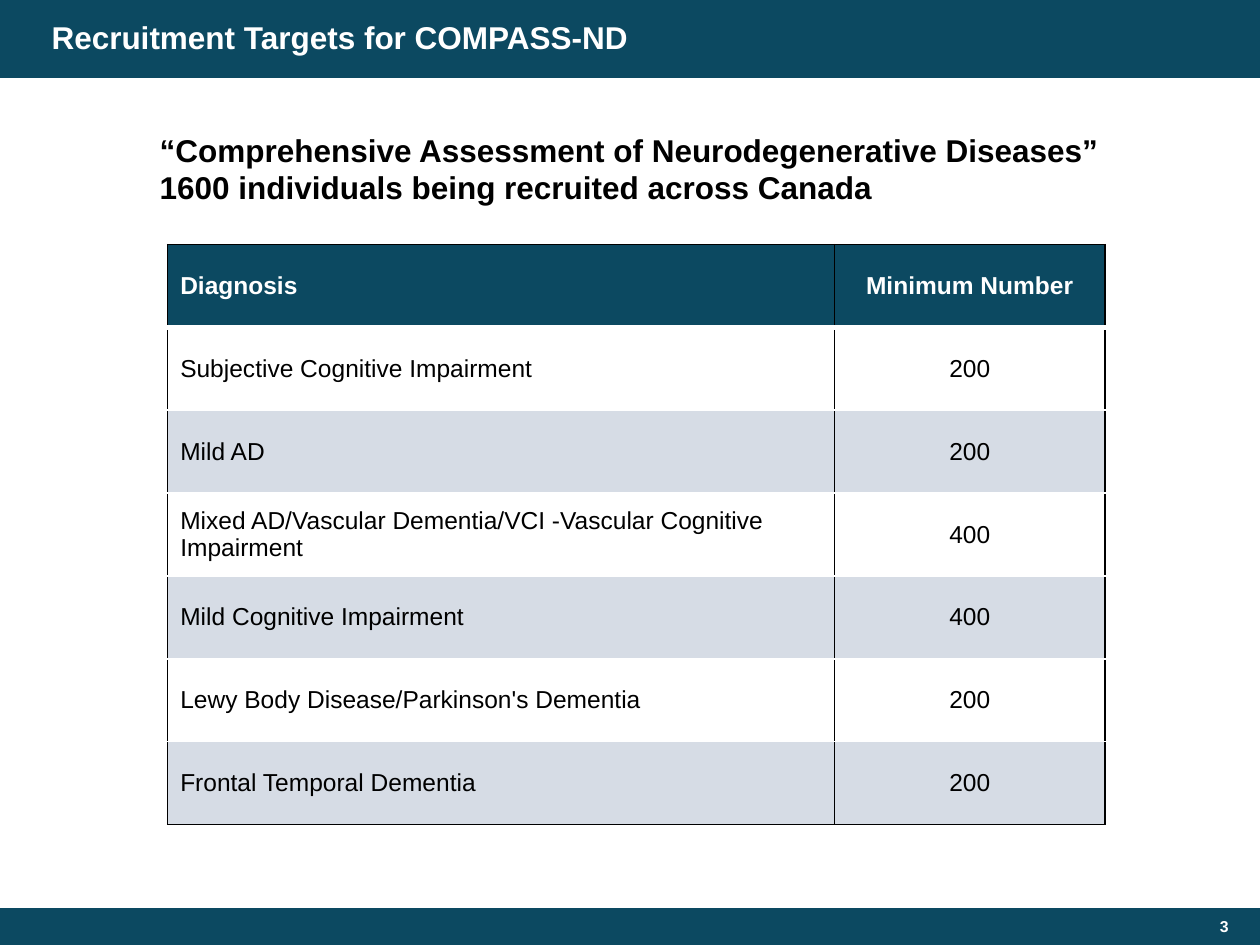
from dataclasses import dataclass
from lxml.etree import SubElement
from pptx import Presentation
from pptx.dml.color import RGBColor as Color
from pptx.enum.shapes import MSO_SHAPE as Shape
from pptx.enum.text import MSO_ANCHOR as Anchor, PP_ALIGN as Align
from pptx.oxml.ns import qn
from pptx.util import Cm, Pt

TITLE = "Recruitment Targets for COMPASS-ND"
INTRO = [
    "“Comprehensive Assessment of Neurodegenerative Diseases”",
    "1600 individuals being recruited across Canada",
]
PAGE_NUMBER = "3"
TARGETS = [
    ("Diagnosis", "Minimum Number"),
    ("Subjective Cognitive Impairment", "200"),
    ("Mild AD", "200"),
    ("Mixed AD/Vascular Dementia/VCI -Vascular Cognitive Impairment", "400"),
    ("Mild Cognitive Impairment", "400"),
    ("Lewy Body Disease/Parkinson's Dementia", "200"),
    ("Frontal Temporal Dementia", "200"),
]


@dataclass(frozen=True)
class Theme:
    font: str = "Arial"
    navy: str = "0C4961"
    band: str = "D6DCE5"
    white: str = "FFFFFF"
    black: str = "000000"
    heading_size: int = 18
    table_size: int = 14
    page_size: int = 9


THEME = Theme()
WIDTH, HEIGHT = 25.4, 19.05
HEADER_HEIGHT, FOOTER_HEIGHT = 1.57, 0.74
TABLE_LEFT, TABLE_TOP = 3.38, 4.93
COLUMN_WIDTHS = (13.44, 5.46)
ROW_HEIGHT = 1.67


def style(paragraph, size, color, bold=True, align=Align.LEFT):
    paragraph.alignment = align
    font = paragraph.font
    font.name, font.size, font.bold = THEME.font, Pt(size), bold
    font.color.rgb = Color.from_string(color)


def add_bar(slide, top, height):
    shape = slide.shapes.add_shape(Shape.RECTANGLE, 0, Cm(top), Cm(WIDTH), Cm(height))
    shape.shadow.inherit = False
    shape.fill.solid()
    shape.fill.fore_color.rgb = Color.from_string(THEME.navy)
    shape.line.fill.background()


def add_text(slide, box, lines, size, color, align=Align.LEFT, anchor=Anchor.MIDDLE):
    frame = slide.shapes.add_textbox(*map(Cm, box)).text_frame
    frame.word_wrap = True
    frame.vertical_anchor = anchor
    frame.text = "\n".join(lines)
    for paragraph in frame.paragraphs:
        style(paragraph, size, color, align=align)
    return frame


def add_border(cell, side, color, width):
    properties = cell._tc.get_or_add_tcPr()
    line = SubElement(properties, qn(f"a:ln{side}"), w=str(Pt(width)))
    fill = SubElement(line, qn("a:solidFill"))
    SubElement(fill, qn("a:srgbClr"), val=color)


def add_targets(slide):
    last = len(TARGETS) - 1
    table = slide.shapes.add_table(
        len(TARGETS), len(COLUMN_WIDTHS), Cm(TABLE_LEFT), Cm(TABLE_TOP),
        Cm(sum(COLUMN_WIDTHS)), Cm(ROW_HEIGHT * len(TARGETS)),
    ).table
    for column, width in zip(table.columns, COLUMN_WIDTHS):
        column.width = Cm(width)
    for index, values in enumerate(TARGETS):
        table.rows[index].height = Cm(ROW_HEIGHT)
        header = index == 0
        background = THEME.navy if header else (THEME.band, THEME.white)[index % 2]
        borders = {
            "L": (THEME.black, 1),
            "R": (THEME.black, 1),
            "T": (THEME.black, 1) if header else (THEME.white, 3 if index == 1 else 1),
            "B": (THEME.black if index == last else THEME.white, 3 if header else 1),
        }
        for column, value in enumerate(values):
            cell = table.cell(index, column)
            cell.text = value
            cell.vertical_anchor = Anchor.MIDDLE
            style(
                cell.text_frame.paragraphs[0], THEME.table_size,
                THEME.white if header else THEME.black, header,
                Align.CENTER if column else Align.LEFT,
            )
            for side, border in borders.items():
                add_border(cell, side, *border)
            cell.fill.solid()
            cell.fill.fore_color.rgb = Color.from_string(background)


def main():
    presentation = Presentation()
    presentation.slide_width, presentation.slide_height = Cm(WIDTH), Cm(HEIGHT)
    slide = presentation.slides.add_slide(presentation.slide_layouts[6])
    add_bar(slide, HEIGHT - FOOTER_HEIGHT, FOOTER_HEIGHT)
    add_bar(slide, 0, HEADER_HEIGHT)
    title = add_text(slide, (0.79, 0.18, 19.28, 1.22), [TITLE],
                     THEME.heading_size, THEME.white)
    title.paragraphs[0].line_spacing = 0.9
    add_targets(slide)
    add_text(slide, (20.22, 18.44, 4.8, 0.48), [PAGE_NUMBER],
             THEME.page_size, THEME.white, Align.RIGHT)
    add_text(slide, (2.97, 2.51, 20.35, 1.8), INTRO,
             THEME.heading_size, THEME.black, anchor=Anchor.TOP)
    presentation.save("out.pptx")


if __name__ == "__main__":
    main()
